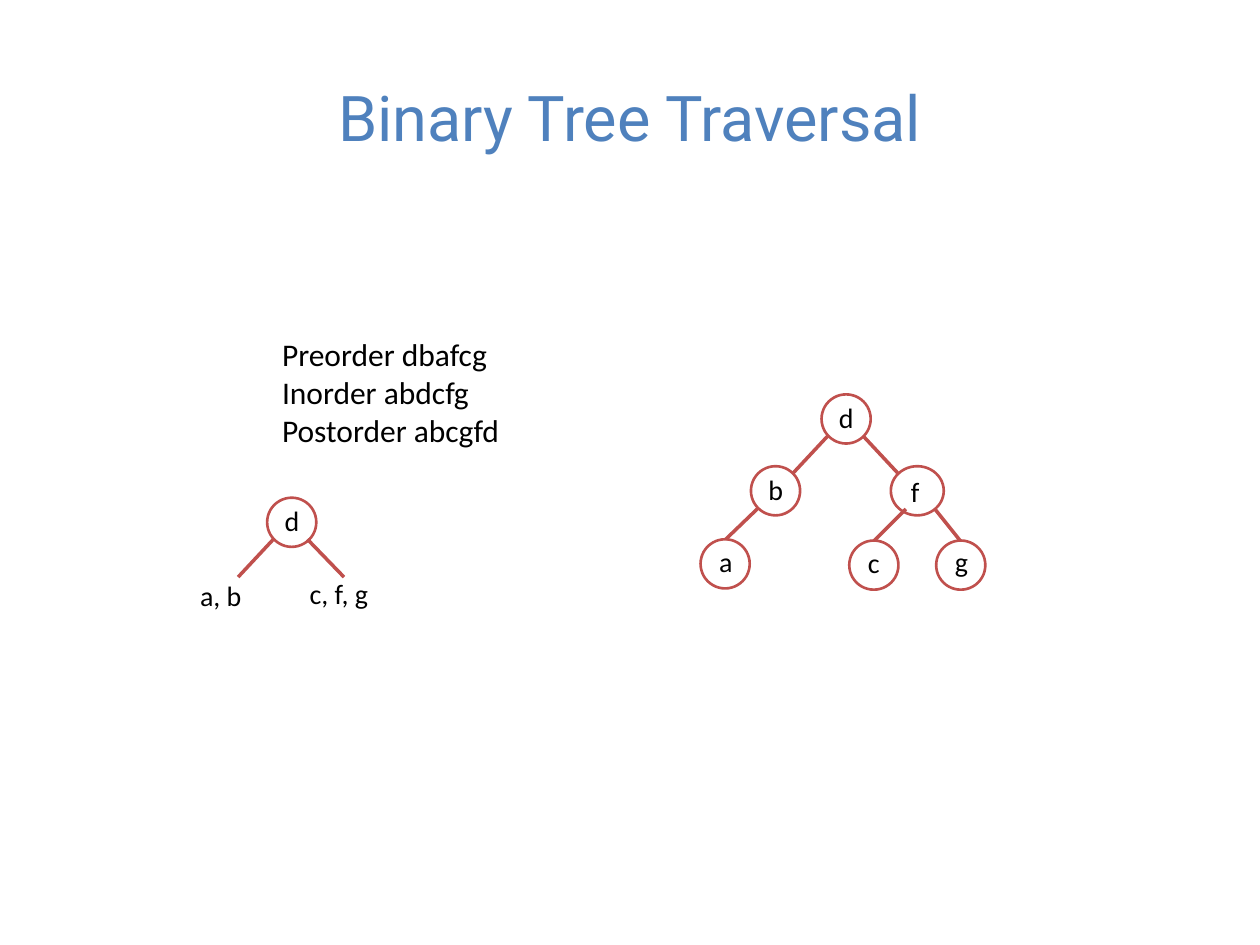
from dataclasses import dataclass

from lxml.etree import SubElement
from pptx import Presentation
from pptx.dml.color import RGBColor as Rgb
from pptx.enum.shapes import MSO_CONNECTOR as Conn, MSO_SHAPE as Form
from pptx.enum.text import MSO_ANCHOR as Anchor, MSO_AUTO_SIZE as Fit, PP_ALIGN as Align
from pptx.oxml.ns import qn
from pptx.util import Inches, Pt


@dataclass(frozen=True)
class Theme:
    head: str = "Roboto"
    body: str = "Calibri"
    blue: Rgb = Rgb(0x4F, 0x81, 0xBD)
    red: Rgb = Rgb(0xC0, 0x50, 0x4D)
    ink: Rgb = Rgb(0, 0, 0)
    paper: Rgb = Rgb(255, 255, 255)
    title: int = 36
    list: int = 18
    label: int = 16
    ring: float = 1.5
    edge: float = 2


class Page:
    def __init__(self, slide, theme):
        self.slide, self.theme = slide, theme

    def style(self, para, face, size, color):
        para.font.name = face
        para.font.size = Pt(size)
        para.font.color.rgb = color

    def title(self, text, *box):
        head = self.slide.shapes.title
        head.left, head.top, head.width, head.height = map(Inches, box)
        frame = head.text_frame
        frame.text = text
        frame.vertical_anchor = Anchor.MIDDLE
        para = frame.paragraphs[0]
        para.alignment = Align.CENTER
        self.style(para, self.theme.head, self.theme.title, self.theme.blue)

    def text(self, lines, size, *box, wrap=True):
        frame = self.slide.shapes.add_textbox(*map(Inches, box)).text_frame
        frame.word_wrap = wrap
        frame.auto_size = Fit.SHAPE_TO_FIT_TEXT
        frame.text = "\n".join(lines)
        for para in frame.paragraphs:
            self.style(para, self.theme.body, size, self.theme.ink)

    def ring(self, x, y, wide):
        ring = self.slide.shapes.add_shape(
            Form.OVAL, Inches(x), Inches(y), Inches(wide), Inches(SIZE))
        ring.shadow.inherit = False
        ring.fill.solid()
        ring.fill.fore_color.rgb = self.theme.paper
        ring.line.color.rgb = self.theme.red
        ring.line.width = Pt(self.theme.ring)

    def edge(self, *ends):
        edge = self.slide.shapes.add_connector(Conn.STRAIGHT, *map(Inches, ends))
        edge.line.color.rgb = self.theme.red
        edge.line.width = Pt(self.theme.edge)
        SubElement(edge._element.spPr, qn("a:effectLst"))

    def tree(self, nodes, edges):
        # Rings at the back, then edges, then letters
        for _, x, y, wide, *_ in nodes:
            self.ring(x, y, wide)
        for ends in edges:
            self.edge(*ends)
        for name, x, y, _, dx, dy, room in nodes:
            self.text([name], self.theme.label, x + dx, y + dy, room, TALL)


SIZE = 0.39  # ring height
TALL = 0.37  # label height

# Nodes: letter, ring left, top, width, letter shift x, y, letter box width
FIRST = [("d", 2.12, 3.95, SIZE, 0.04, 0, 0.32)]
FULL = [
    ("d", 6.52, 3.13, SIZE, 0.04, 0, 0.93),
    ("f", 7.07, 3.7, 0.42, 0.06, 0.02, 0.35),
    ("b", 5.96, 3.7, SIZE, 0.04, 0, 0.43),
    ("a", 5.56, 4.28, SIZE, 0.05, -0.01, 0.43),
    ("g", 7.43, 4.29, SIZE, 0.05, -0.02, 0.43),
    ("c", 6.74, 4.29, SIZE, 0.05, -0.01, 0.43),
]

# Edges: child end x, y, parent end x, y
SPLIT = [(1.89, 4.58, 2.17, 4.28), (2.73, 4.58, 2.44, 4.28)]
LINKS = [
    (6.29, 3.76, 6.57, 3.46),
    (7.13, 3.76, 6.85, 3.46),
    (5.76, 4.28, 6.02, 4.03),
    (7.62, 4.29, 7.42, 4.04),
    (6.94, 4.29, 7.19, 4.04),
]


def main():
    deck = Presentation()
    deck.slide_width, deck.slide_height = Inches(10), Inches(7.5)
    theme = Theme()
    page = Page(deck.slides.add_slide(deck.slide_layouts[5]), theme)

    # Title and the three orders
    page.title("Binary Tree Traversal", 0.5, 0.3, 9, 1.25)
    orders = ["Preorder dbafcg", "Inorder abdcfg", "Postorder abcgfd"]
    page.text(orders, theme.list, 2.14, 2.61, 1.94, 1.01, wrap=False)

    # First split, with the letters left on each side
    page.tree(FIRST, SPLIT)
    page.text(["a, b"], theme.label, 1.49, 4.54, 0.64, TALL)
    page.text(["c, f, g"], theme.label, 2.36, 4.53, 0.87, TALL)

    # Finished tree
    page.tree(FULL, LINKS)
    deck.save("out.pptx")


if __name__ == "__main__":
    main()
